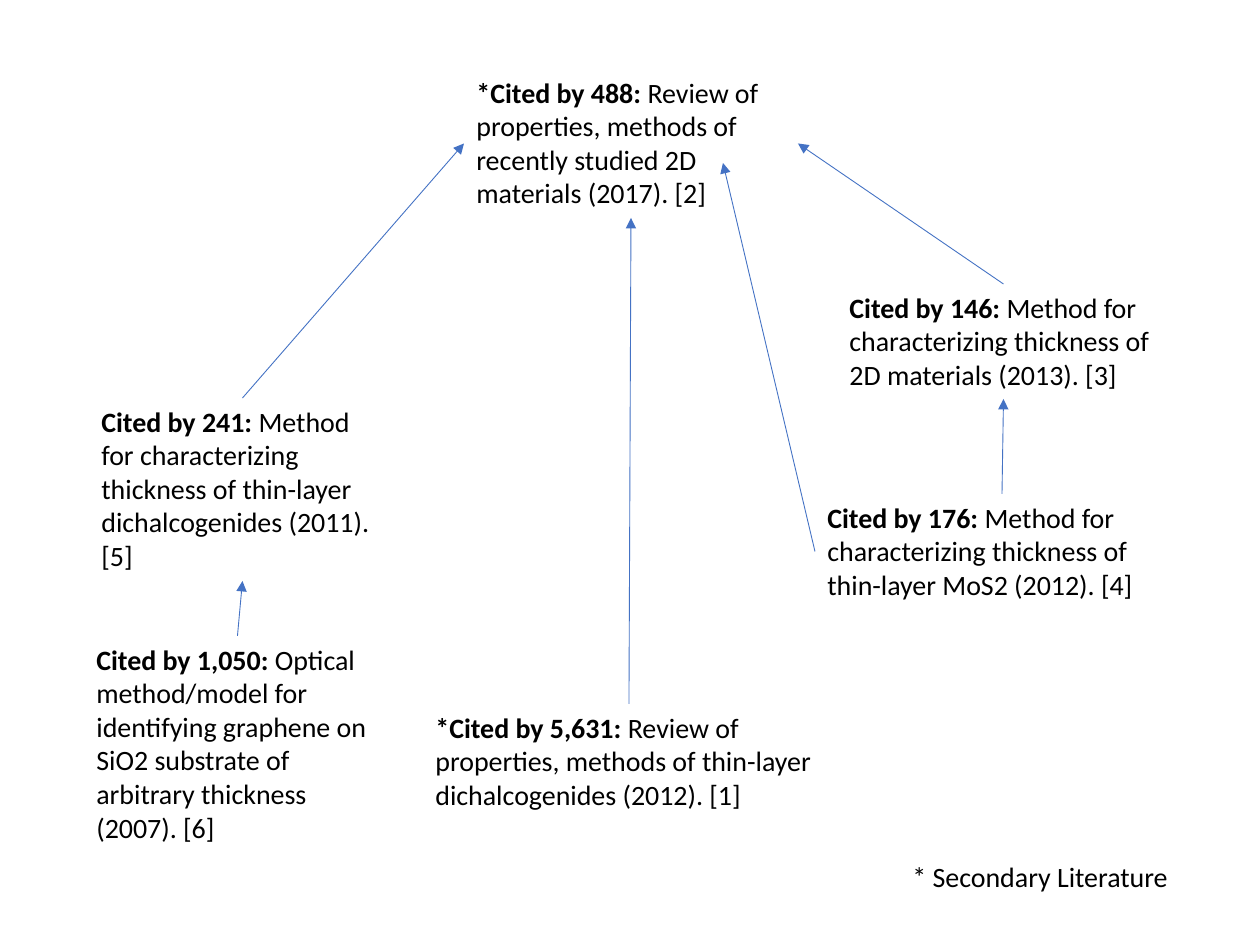
from pptx import Presentation, util as u
from pptx.dml.color import RGBColor
from pptx.enum import shapes, text
from pptx.oxml.ns import qn
from lxml import etree

PAPERS = {
    1: ((423, 704, 412, 115), "*Cited by 5,631: ",
        "Review of properties, methods of thin-layer dichalcogenides (2012). [1]"),
    2: ((464, 69, 334, 149), "*Cited by 488: ",
        "Review of properties, methods of recently studied 2D materials (2017). [2]"),
    4: ((815, 494, 374, 115), "Cited by 176: ",
        "Method for characterizing thickness of thin-layer MoS2 (2012). [4]"),
    3: ((837, 284, 333, 115), "Cited by 146: ",
        "Method for characterizing thickness of 2D materials (2013). [3]"),
    5: ((89, 398, 307, 183), "Cited by 241: ",
        "Method for characterizing thickness of thin-layer dichalcogenides (2011). [5]"),
    6: ((84, 636, 307, 217), "Cited by 1,050: ",
        "Optical method/model for identifying graphene on SiO2 substrate "
        "of arbitrary thickness (2007). [6]"),
}
NOTE = ((900, 853, 307, 47), "", "* Secondary Literature")
TOP, LEFT, BOTTOM, RIGHT = range(4)
INNER_POINT = (723, 163)
CITATIONS = [
    (1, TOP, 2, BOTTOM),
    (3, TOP, 2, RIGHT),
    (4, TOP, 3, BOTTOM),
    (4, LEFT, 2, None),
    (5, TOP, 2, LEFT),
    (6, TOP, 5, BOTTOM),
]
THEME = dict(font="Calibri", size=u.Pt(16), ink=RGBColor(0, 0, 0),
             arrow=RGBColor(0x44, 0x72, 0xC4), line=u.Pt(0.5))


def px(n):
    return round(n * u.Inches(1) / 126)


def site(paper, side):
    x, y, w, h = PAPERS[paper][0]
    return {TOP: (x + w / 2, y), LEFT: (x, y + h / 2),
            BOTTOM: (x + w / 2, y + h), RIGHT: (x + w, y + h / 2),
            None: INNER_POINT}[side]


def add_text(s, box, lead, body):
    sp = s.shapes.add_textbox(*map(px, box))
    tf = sp.text_frame
    tf.word_wrap = True
    tf.auto_size = text.MSO_AUTO_SIZE.SHAPE_TO_FIT_TEXT
    p = tf.paragraphs[0]
    p.font.name, p.font.size = THEME["font"], THEME["size"]
    p.font.color.rgb = THEME["ink"]
    if lead:
        r = p.add_run()
        r.text, r.font.bold = lead, True
    p.add_run().text = body
    return sp


def add_arrow(s, boxes, source, start, target, end):
    points = site(source, start) + site(target, end)
    cx = s.shapes.add_connector(shapes.MSO_CONNECTOR.STRAIGHT, *map(px, points))
    cx.begin_connect(boxes[source], start)
    if end is not None:
        cx.end_connect(boxes[target], end)
    cx.line.color.rgb, cx.line.width = THEME["arrow"], THEME["line"]
    etree.SubElement(cx.line._get_or_add_ln(), qn("a:tailEnd"), type="triangle")
    etree.SubElement(cx._element.spPr, qn("a:effectLst"))


prs = Presentation()
prs.slide_width, prs.slide_height = u.Inches(10), u.Inches(7.5)
s = prs.slides.add_slide(prs.slide_layouts[6])
boxes = {number: add_text(s, *paper) for number, paper in PAPERS.items()}
for citation in CITATIONS:
    add_arrow(s, boxes, *citation)
add_text(s, *NOTE)
prs.save("out.pptx")
